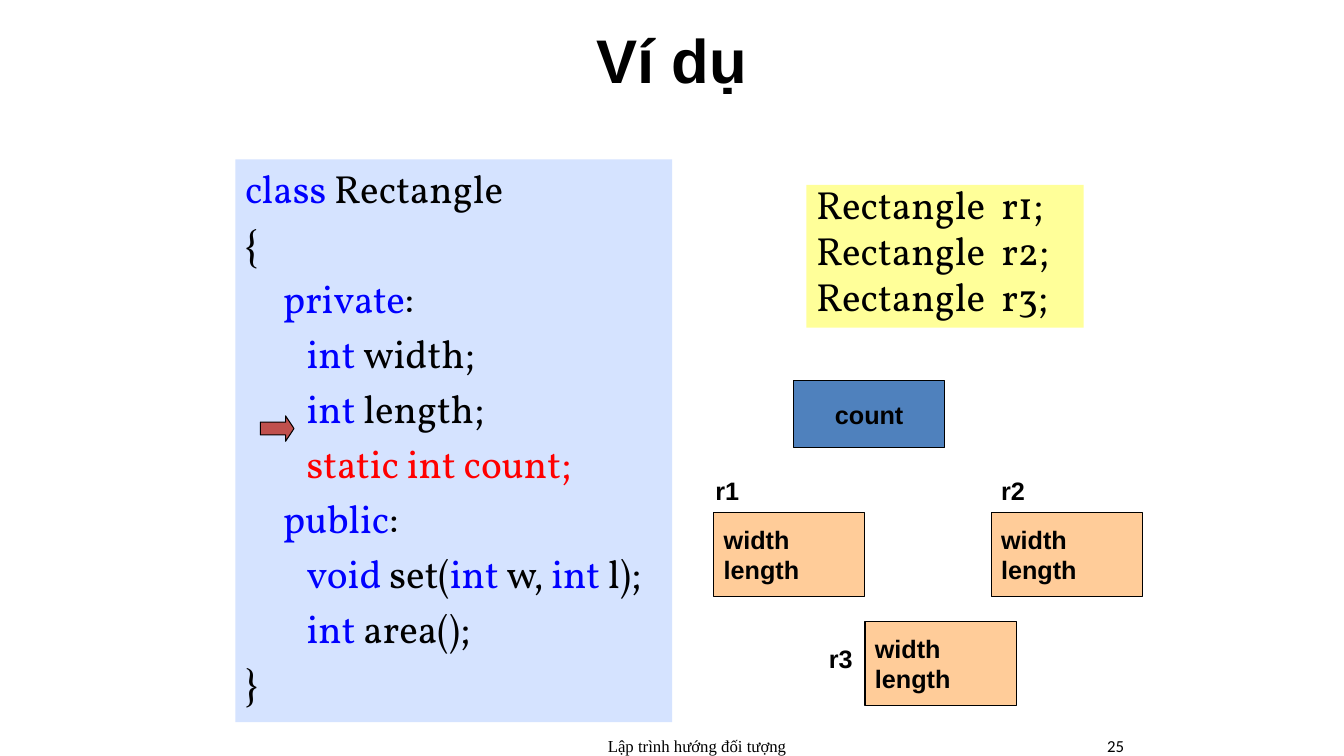
"""Build the class example slide with its code, declarations and object diagram."""
import pptx
import pptx.util
import pptx.dml.color
import pptx.enum.shapes
import pptx.enum.text
import lxml.etree

Cm, Pt = pptx.util.Cm, pptx.util.Pt
RGBColor = pptx.dml.color.RGBColor
SHAPES = pptx.enum.shapes.MSO_SHAPE
ALIGN = pptx.enum.text.PP_ALIGN
ANCHOR = pptx.enum.text.MSO_ANCHOR

BLACK = RGBColor(0x00, 0x00, 0x00)
KEYWORD = RGBColor(0x00, 0x00, 0xFF)
RED = RGBColor(0xFF, 0x00, 0x00)
CODE_FILL = RGBColor(0xD5, 0xE3, 0xFF)
DECLARATION_FILL = RGBColor(0xFF, 0xFF, 0x99)
OBJECT_FILL = RGBColor(0xFF, 0xCC, 0x99)
COUNT_FILL = RGBColor(0x4F, 0x81, 0xBD)
ARROW_FILL = RGBColor(0xC0, 0x50, 0x4D)

TITLE = "Ví dụ"
FOOTERS = [
    ("Lập trình hướng đối tượng", "Times New Roman", ALIGN.CENTER, (13.55, 18.42, 8.04, 0.64)),
    ("25", "Calibri", ALIGN.RIGHT, (22.65, 18.42, 5.93, 0.64)),
]
CODE = [
    (0, [("class ", KEYWORD), ("Rectangle", BLACK)]),
    (0, [("{", BLACK)]),
    (1, [("private", KEYWORD), (":", BLACK)]),
    (2, [("int ", KEYWORD), ("width;", BLACK)]),
    (2, [("int ", KEYWORD), ("length;", BLACK)]),
    (2, [("static int count;", RED)]),
    (1, [("public", KEYWORD), (":", BLACK)]),
    (2, [("void ", KEYWORD), ("set(", BLACK), ("int ", KEYWORD), ("w, ", BLACK),
         ("int ", KEYWORD), ("l);", BLACK)]),
    (2, [("int ", KEYWORD), ("area();", BLACK)]),
    (0, [("}", BLACK)]),
]
CODE_INDENTS = [0, 0.95, 1.55]
DECLARATIONS = ["Rectangle\tr1;", "Rectangle\tr2;", "Rectangle\tr3;"]
NAME_TAB = 4.67
FIELDS = ["width", "length"]
OBJECTS = [
    ("r1", (17.99, 12.91), (17.78, 11.85)),
    ("r2", (24.98, 12.91), (24.98, 11.85)),
    ("r3", (21.8, 15.66), (20.64, 16.09)),
]
OBJECT_SIZE = (3.81, 2.12)
LABEL_SIZE = (1.11, 1.02)


def add_box(page, kind, place, fill, outlined=True):
    """Add a filled shape without shadow."""
    box = page.shapes.add_shape(kind, *map(Cm, place))
    box.shadow.inherit = False
    box.fill.solid()
    box.fill.fore_color.rgb = fill
    if outlined:
        box.line.color.rgb = BLACK
        box.line.width = Pt(0.75)
    else:
        box.line.fill.background()
    return box


def write(box, lines, font, size, bold=False, align=ALIGN.LEFT, anchor=ANCHOR.TOP, wrap=True):
    """Write lines of (text, colour) runs and return the paragraphs."""
    frame = box.text_frame
    frame.word_wrap = wrap
    frame.vertical_anchor = anchor
    for number, line in enumerate(lines):
        para = frame.add_paragraph() if number else frame.paragraphs[0]
        para.alignment = align
        for text, colour in line:
            span = para.add_run()
            span.text = text
            span.font.name = font
            span.font.size = Pt(size)
            span.font.bold = bold
            span.font.color.rgb = colour
    return frame.paragraphs


def plain(texts):
    """Turn texts into lines of one black run each."""
    return [[(text, BLACK)] for text in texts]


def add_code(page):
    """Add the class listing and the arrow beside it."""
    box = add_box(page, SHAPES.RECTANGLE, (5.93, 4.02, 11.01, 14.18), CODE_FILL, False)
    paras = write(box, [line for _, line in CODE], "Vollkorn", 28)
    for para, (depth, _) in zip(paras, CODE):
        para.space_before = Pt(5.6)
        para._p.get_or_add_pPr().set("marL", str(Cm(CODE_INDENTS[depth])))


def add_declarations(page):
    """Add the object declarations with aligned names."""
    box = add_box(page, SHAPES.RECTANGLE, (20.32, 4.66, 6.99, 3.6), DECLARATION_FILL, False)
    for para in write(box, plain(DECLARATIONS), "Vollkorn", 28):
        para.line_spacing = 0.8
        para.space_before = Pt(5.6)
        properties = para._p.get_or_add_pPr()
        space = properties.nsmap["a"]
        tabs = lxml.etree.SubElement(properties, f"{{{space}}}tabLst")
        lxml.etree.SubElement(tabs, f"{{{space}}}tab", pos=str(Cm(NAME_TAB)), algn="l")


def add_objects(page):
    """Add the three objects, their names and the shared counter."""
    for name, corner, label_corner in OBJECTS:
        box = add_box(page, SHAPES.RECTANGLE, corner + OBJECT_SIZE, OBJECT_FILL)
        write(box, plain(FIELDS), "Arial", 18, True, anchor=ANCHOR.MIDDLE, wrap=False)
        label = page.shapes.add_textbox(*map(Cm, label_corner + LABEL_SIZE))
        write(label, plain([name]), "Arial", 18, True, wrap=False)
    count = add_box(page, SHAPES.RECTANGLE, (20, 9.6, 3.81, 1.69), COUNT_FILL)
    write(count, plain(["count"]), "Arial", 18, True, ALIGN.CENTER, ANCHOR.MIDDLE, False)


def main():
    """Build and save the deck."""
    deck = pptx.Presentation()
    deck.slide_width, deck.slide_height = Cm(33.87), Cm(19.05)
    page = deck.slides.add_slide(deck.slide_layouts[5])
    title = page.shapes.title
    title.left, title.top, title.width, title.height = map(Cm, (4.23, 0, 25.4, 2.96))
    write(title, plain([TITLE]), "Arial", 44, True, ALIGN.CENTER, ANCHOR.MIDDLE)
    for text, font, align, place in FOOTERS:
        box = page.shapes.add_textbox(*map(Cm, place))
        write(box, plain([text]), font, 12, align=align)
    add_code(page)
    add_declarations(page)
    arrow = add_box(page, SHAPES.RIGHT_ARROW, (6.56, 10.48, 0.85, 0.64), ARROW_FILL)
    arrow.adjustments[1] = 0.33
    add_objects(page)
    deck.save("out.pptx")


if __name__ == "__main__":
    main()
